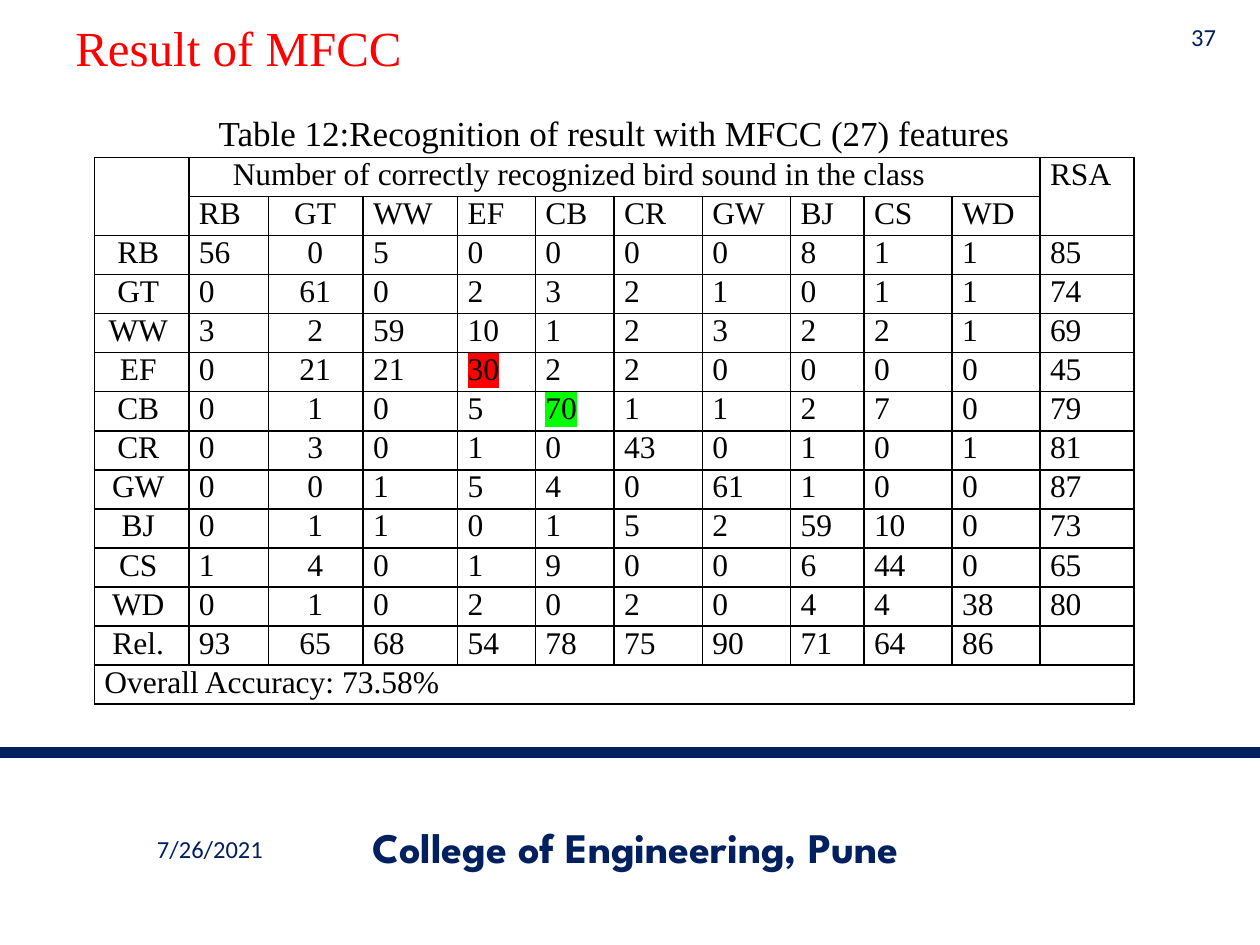
from dataclasses import dataclass

from lxml.etree import SubElement
from pptx import Presentation
from pptx.dml.color import RGBColor
from pptx.enum.shapes import MSO_CONNECTOR
from pptx.enum.text import MSO_ANCHOR, PP_ALIGN
from pptx.oxml.ns import qn
from pptx.util import Pt


@dataclass(frozen=True)
class Theme:
    navy: str = "002060"
    red: str = "FF0000"
    green: str = "00FF00"
    black: str = "000000"
    serif: str = "Times New Roman"
    sans: str = "Calibri"
    display: str = "League Spartan"
    title_size: float = 28
    footer_size: float = 24
    caption_size: float = 20
    table_size: float = 18
    small_size: float = 14


THEME = Theme()

CLASSES = ["RB", "GT", "WW", "EF", "CB", "CR", "GW", "BJ", "CS", "WD"]
# One row per class: recognised counts in class order, then RSA.
RESULTS = [
    [56, 0, 5, 0, 0, 0, 0, 8, 1, 1, 85],
    [0, 61, 0, 2, 3, 2, 1, 0, 1, 1, 74],
    [3, 2, 59, 10, 1, 2, 3, 2, 2, 1, 69],
    [0, 21, 21, 30, 2, 2, 0, 0, 0, 0, 45],
    [0, 1, 0, 5, 70, 1, 1, 2, 7, 0, 79],
    [0, 3, 0, 1, 0, 43, 0, 1, 0, 1, 81],
    [0, 0, 1, 5, 4, 0, 61, 1, 0, 0, 87],
    [0, 1, 1, 0, 1, 5, 2, 59, 10, 0, 73],
    [1, 4, 0, 1, 9, 0, 0, 6, 44, 0, 65],
    [0, 1, 0, 2, 0, 2, 0, 4, 4, 38, 80],
]
RELIABILITY = [93, 65, 68, 54, 78, 75, 90, 71, 64, 86]
HIGHLIGHTS = {("EF", "EF"): THEME.red, ("CB", "CB"): THEME.green}

COLUMN_WIDTHS = [54, 45.5, 54, 54, 44.5, 45, 50.4, 50.4, 42, 50.4, 50.2, 53.6]
ROW_HEIGHT = 22.32
CELL_INDENT = 5.7
# Left and right indents of the two centred columns.
CENTRED_INDENTS = {0: (4, 8), 2: (5.7, 6.5)}


def write_text(frame, text, *, size, font, color, bold=False, align=PP_ALIGN.LEFT,
               indent=0, right_indent=0, highlight=None):
    paragraph = frame.paragraphs[0]
    paragraph.alignment = align
    if indent or right_indent:
        properties = paragraph._p.get_or_add_pPr()
        properties.set("marL", str(Pt(indent)))
        properties.set("marR", str(Pt(right_indent)))
    run = paragraph.add_run()
    run.text = text
    run.font.size = Pt(size)
    run.font.name = font
    run.font.bold = bold
    run.font.color.rgb = RGBColor.from_string(color)
    if highlight:
        properties = run._r.get_or_add_rPr()
        mark = SubElement(properties, qn("a:highlight"))
        SubElement(mark, qn("a:srgbClr"), val=highlight)
        properties.find(qn("a:solidFill")).addnext(mark)


def add_label(slide, text, left, top, width, height, *, anchor=MSO_ANCHOR.MIDDLE, **text_format):
    label = slide.shapes.add_textbox(Pt(left), Pt(top), Pt(width), Pt(height))
    frame = label.text_frame
    frame.word_wrap = True
    frame.vertical_anchor = anchor
    write_text(frame, text, **text_format)


def add_rule(slide, top, width, weight):
    rule = slide.shapes.add_connector(MSO_CONNECTOR.STRAIGHT, 0, Pt(top), Pt(width), Pt(top))
    rule.line.color.rgb = RGBColor.from_string(THEME.navy)
    rule.line.width = Pt(weight)
    SubElement(rule._element.spPr, qn("a:effectLst"))


def clear_cell(cell):
    """Give the cell no fill, no margins and a thin black border."""
    cell.margin_left = cell.margin_right = cell.margin_top = cell.margin_bottom = 0
    properties = cell._tc.get_or_add_tcPr()
    for side in ("lnL", "lnR", "lnT", "lnB"):
        border = SubElement(properties, qn(f"a:{side}"), w=str(Pt(1)))
        fill = SubElement(border, qn("a:solidFill"))
        SubElement(fill, qn("a:srgbClr"), val=THEME.black)
    cell.fill.background()


def write_cell(cell, text, **text_format):
    write_text(cell.text_frame, text, size=THEME.table_size, font=THEME.serif,
               color=THEME.black, **text_format)


def add_results_table(slide, left, top):
    body = [[name, *values] for name, values in zip(CLASSES, RESULTS)]
    rows = [["", *CLASSES], *body, ["Rel.", *RELIABILITY]]
    row_count, column_count = len(rows) + 2, len(COLUMN_WIDTHS)
    table = slide.shapes.add_table(
        row_count, column_count, Pt(left), Pt(top),
        Pt(sum(COLUMN_WIDTHS)), Pt(ROW_HEIGHT * row_count)).table
    table.first_row = table.horz_banding = False
    for column, width in zip(table.columns, COLUMN_WIDTHS):
        column.width = Pt(width)
    for row in table.rows:
        row.height = Pt(ROW_HEIGHT)
    for cell in table.iter_cells():
        clear_cell(cell)

    last_row, last_column = row_count - 1, column_count - 1
    table.cell(0, 0).merge(table.cell(1, 0))
    table.cell(0, 1).merge(table.cell(0, last_column - 1))
    table.cell(0, last_column).merge(table.cell(1, last_column))
    table.cell(last_row, 0).merge(table.cell(last_row, last_column))
    write_cell(table.cell(0, 1), "Number of correctly recognized bird sound in the class", indent=25)
    write_cell(table.cell(0, last_column), "RSA", indent=CELL_INDENT)
    write_cell(table.cell(last_row, 0), "Overall Accuracy: 73.58%", indent=CELL_INDENT)

    for row_index, values in enumerate(rows, start=1):
        for column_index, value in enumerate(values):
            if value == "":
                continue
            indent, right_indent = CENTRED_INDENTS.get(column_index, (CELL_INDENT, 0))
            centred = column_index in CENTRED_INDENTS
            class_name = CLASSES[column_index - 1] if 0 < column_index < last_column else None
            write_cell(table.cell(row_index, column_index), str(value),
                       align=PP_ALIGN.CENTER if centred else PP_ALIGN.LEFT,
                       indent=indent, right_indent=right_indent,
                       highlight=HIGHLIGHTS.get((values[0], class_name)))


def main():
    presentation = Presentation()
    presentation.slide_width, presentation.slide_height = Pt(720), Pt(540)
    slide = presentation.slides.add_slide(presentation.slide_layouts[6])

    small = dict(size=THEME.small_size, font=THEME.sans, color=THEME.navy)
    add_rule(slide, 430, 720, 6.5)
    add_label(slide, "Result of MFCC", 36, -18, 648, 90,
              size=THEME.title_size, font=THEME.serif, color=THEME.red)
    add_label(slide, "7/26/2021", 36, 470.5, 168, 29, align=PP_ALIGN.CENTER, **small)
    add_label(slide, "College of Engineering, Pune", 174, 469.5, 378, 29,
              align=PP_ALIGN.CENTER, size=THEME.footer_size, font=THEME.display,
              color=THEME.navy, bold=True)
    add_label(slide, "37", 666, 11, 36, 20, align=PP_ALIGN.RIGHT, **small)
    add_results_table(slide, 54, 90)
    add_label(slide, "Table 12:Recognition of result with MFCC (27) features",
              36, 60, 630, 31.5, anchor=MSO_ANCHOR.TOP, align=PP_ALIGN.CENTER,
              size=THEME.caption_size, font=THEME.serif, color=THEME.black)
    presentation.save("out.pptx")


if __name__ == "__main__":
    main()
